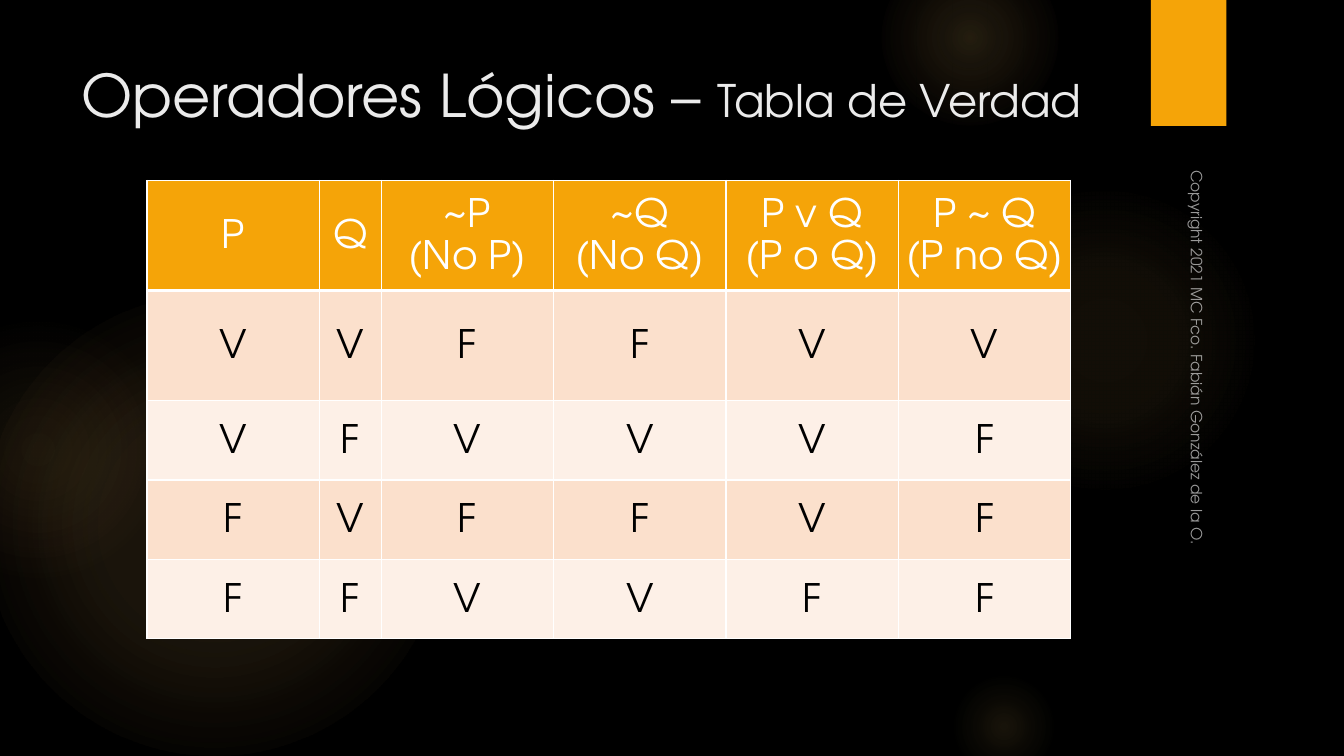
"""Builds a slide with the truth table of the logical operators."""
from dataclasses import dataclass

from lxml.etree import SubElement
from pptx import Presentation
from pptx.dml.color import RGBColor
from pptx.enum.shapes import MSO_SHAPE as Shape
from pptx.enum.text import MSO_ANCHOR as Anchor, PP_ALIGN as Align
from pptx.oxml.ns import qn
from pptx.util import Emu, Inches, Pt

TITLE = [("Operadores Lógicos – ", 42), ("Tabla de Verdad", 32)]
COPYRIGHT = "Copyright 2021 MC Fco. Fabián González de la O."
OPERATORS = ["P", "Q", "~P\n(No P)", "~Q\n(No Q)", "P v Q\n(P o Q)", "P ~ Q\n(P no Q)"]
TRUTH_VALUES = ["VVFFVV", "VFVVVF", "FVFFVF", "FFVVFF"]


@dataclass(frozen=True)
class Theme:
    font: str = "TeX Gyre Adventor"
    back: str = "000000"
    accent: str = "F5A408"
    glow: str = "FAC96A"
    ember: str = "F59B74"
    title: str = "EBEBEB"
    light: str = "FFFFFF"
    dark: str = "000000"
    bands: tuple = ("FBE0CC", "FDF0E7")
    copyright_size: int = 11
    cell_size: int = 28
    copyright_alpha: int = 60


THEME = Theme()
GRID_COLUMNS = 160
GLOWS = [
    (-2, 35, 55, [(0, THEME.glow, 11), (36, THEME.glow, 10), (75, THEME.glow, 0)]),
    (-11, 38, 31, [(0, THEME.glow, 8), (36, THEME.glow, 5), (71, THEME.ember, 0)]),
    (113, 22, 37, [(0, THEME.glow, 7), (36, THEME.glow, 6), (69, THEME.glow, 0)]),
    (105, -6, 21, [(0, THEME.glow, 14), (36, THEME.glow, 7), (73, THEME.glow, 0)]),
    (113, 80, 13, [(0, THEME.glow, 10), (31, THEME.glow, 5), (66, THEME.glow, 0)]),
]
TAB_BOX = (137, 0, 9, 15)
TITLE_BOX = (8.5, 6, 123.5, 10.3)
COPYRIGHT_BOX = (117.5, 42.4, 50.6, 4)
TABLE_CORNER = (17.5, 21.5)
COLUMN_WIDTHS = [20.53, 7.35] + [20.53] * 4
ROW_HEIGHTS = [13.1] * 2 + [9.45] * 3

deck = Presentation()
deck.slide_width, deck.slide_height = Inches(13.33), Inches(7.5)
slide = deck.slides.add_slide(deck.slide_layouts[6])


def grid(*units):
    return [Emu(round(unit * deck.slide_width / GRID_COLUMNS)) for unit in units]


def assign(target, formats):
    for name, value in formats.items():
        setattr(target, name, value)


def paint(fill, color):
    fill.solid()
    fill.fore_color.rgb = RGBColor.from_string(color)


def add_color(parent, color, alpha=100):
    node = SubElement(parent, qn("a:srgbClr"), val=color)
    if alpha < 100:
        SubElement(node, qn("a:alpha"), val=str(alpha * 1000))


def add_plain(kind, box):
    plain = slide.shapes.add_shape(kind, *grid(*box))
    plain.shadow.inherit = False
    plain.line.fill.background()
    return plain


def add_glow(left, top, size, stops):
    glow = add_plain(Shape.OVAL, (left, top, size, size))
    glow.fill.gradient()
    gradient = glow.fill._xPr.find(qn("a:gradFill"))
    for child in list(gradient):
        gradient.remove(child)
    stop_list = SubElement(gradient, qn("a:gsLst"))
    for place, color, alpha in stops:
        add_color(SubElement(stop_list, qn("a:gs"), pos=str(place * 1000)), color, alpha)
    circle = SubElement(gradient, qn("a:path"), path="circle")
    SubElement(circle, qn("a:fillToRect"), dict.fromkeys("ltrb", "50000"))


def write(paragraph, text, size, color):
    run = paragraph.add_run()
    run.text = text
    assign(run.font, {"name": THEME.font, "size": Pt(size)})
    run.font.color.rgb = RGBColor.from_string(color)
    return run


def add_text(box, anchor, runs, color):
    label = slide.shapes.add_textbox(*grid(*box))
    assign(label.text_frame, {"word_wrap": True, "vertical_anchor": anchor})
    for text, size in runs:
        write(label.text_frame.paragraphs[0], text, size, color)
    return label


def add_borders(cell, bottom):
    properties = cell._tc.get_or_add_tcPr()
    for side, width in {"L": 1, "R": 1, "T": 1, "B": bottom}.items():
        line = SubElement(properties, qn(f"a:ln{side}"), w=str(Pt(width)))
        add_color(SubElement(line, qn("a:solidFill")), THEME.light)


def fill_cell(cell, text, fill, color, bottom):
    add_borders(cell, bottom)
    paint(cell.fill, fill)
    assign(cell, {"vertical_anchor": Anchor.MIDDLE, "margin_left": Inches(0.07),
                  "margin_right": Inches(0.07), "margin_top": 0, "margin_bottom": 0})
    for index, line in enumerate(text.split("\n")):
        frame = cell.text_frame
        paragraph = frame.add_paragraph() if index else frame.paragraphs[0]
        assign(paragraph, {"alignment": Align.CENTER, "line_spacing": 1.15})
        write(paragraph, line, THEME.cell_size, color)


def add_truth_table():
    rows = [OPERATORS, *TRUTH_VALUES]
    box = (*TABLE_CORNER, sum(COLUMN_WIDTHS), sum(ROW_HEIGHTS))
    table = slide.shapes.add_table(len(rows), len(OPERATORS), *grid(*box)).table
    assign(table, {"first_row": False, "horz_banding": False})
    for column, width in zip(table.columns, grid(*COLUMN_WIDTHS)):
        column.width = width
    for row, height in zip(table.rows, grid(*ROW_HEIGHTS)):
        row.height = height
    for r, values in enumerate(rows):
        style = (THEME.bands[(r - 1) % 2], THEME.dark, 1) if r else (THEME.accent, THEME.light, 3)
        for c, value in enumerate(values):
            fill_cell(table.cell(r, c), value, *style)


paint(slide.background.fill, THEME.back)
for glow_spot in GLOWS:
    add_glow(*glow_spot)
paint(add_plain(Shape.RECTANGLE, TAB_BOX).fill, THEME.accent)
add_text(TITLE_BOX, Anchor.MIDDLE, TITLE, THEME.title)
credit = add_text(COPYRIGHT_BOX, Anchor.BOTTOM, [(COPYRIGHT, THEME.copyright_size)], THEME.light)
credit.rotation = 90
for tint in credit._element.iter(qn("a:srgbClr")):
    SubElement(tint, qn("a:alpha"), val=str(THEME.copyright_alpha * 1000))
add_truth_table()
deck.save("out.pptx")
